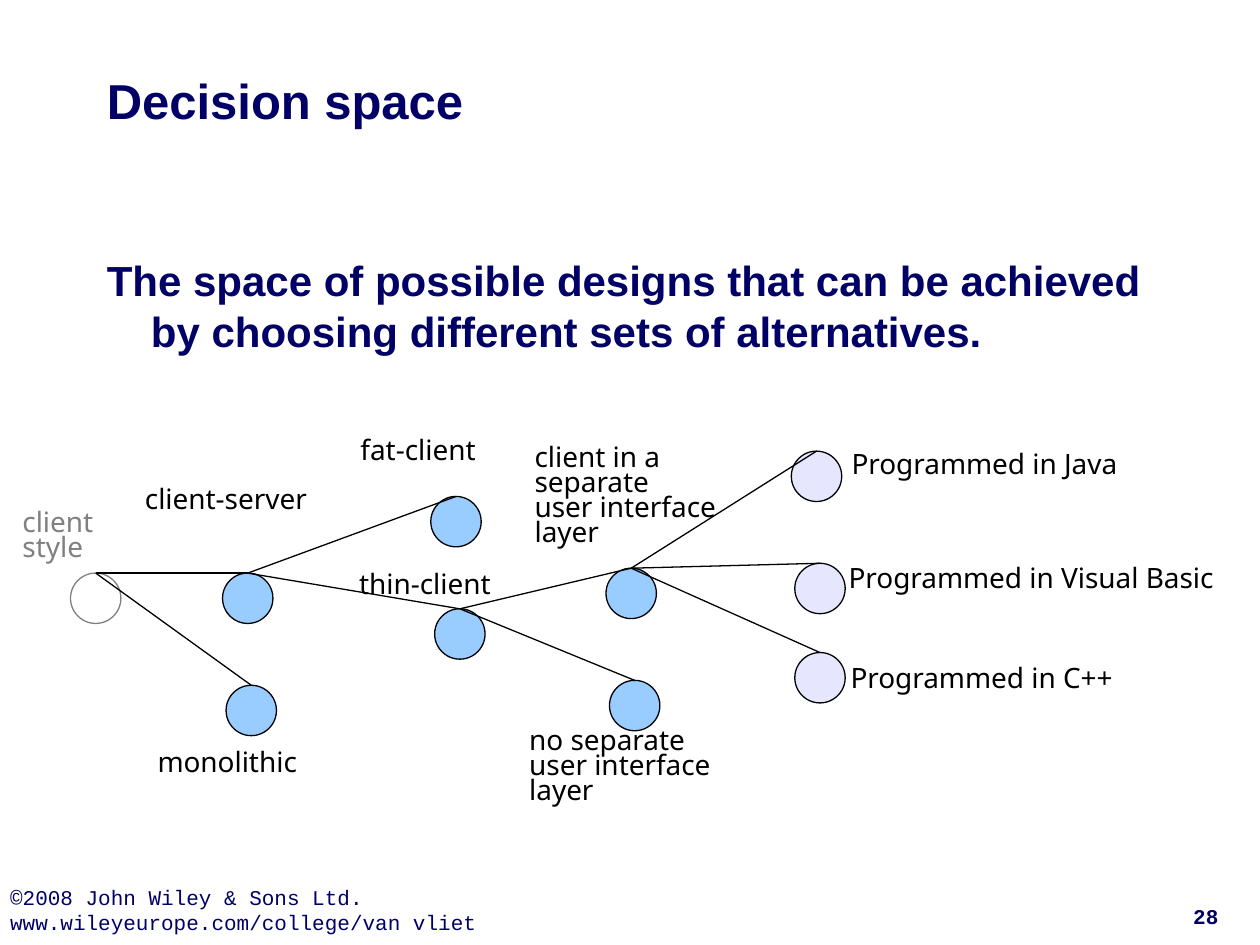
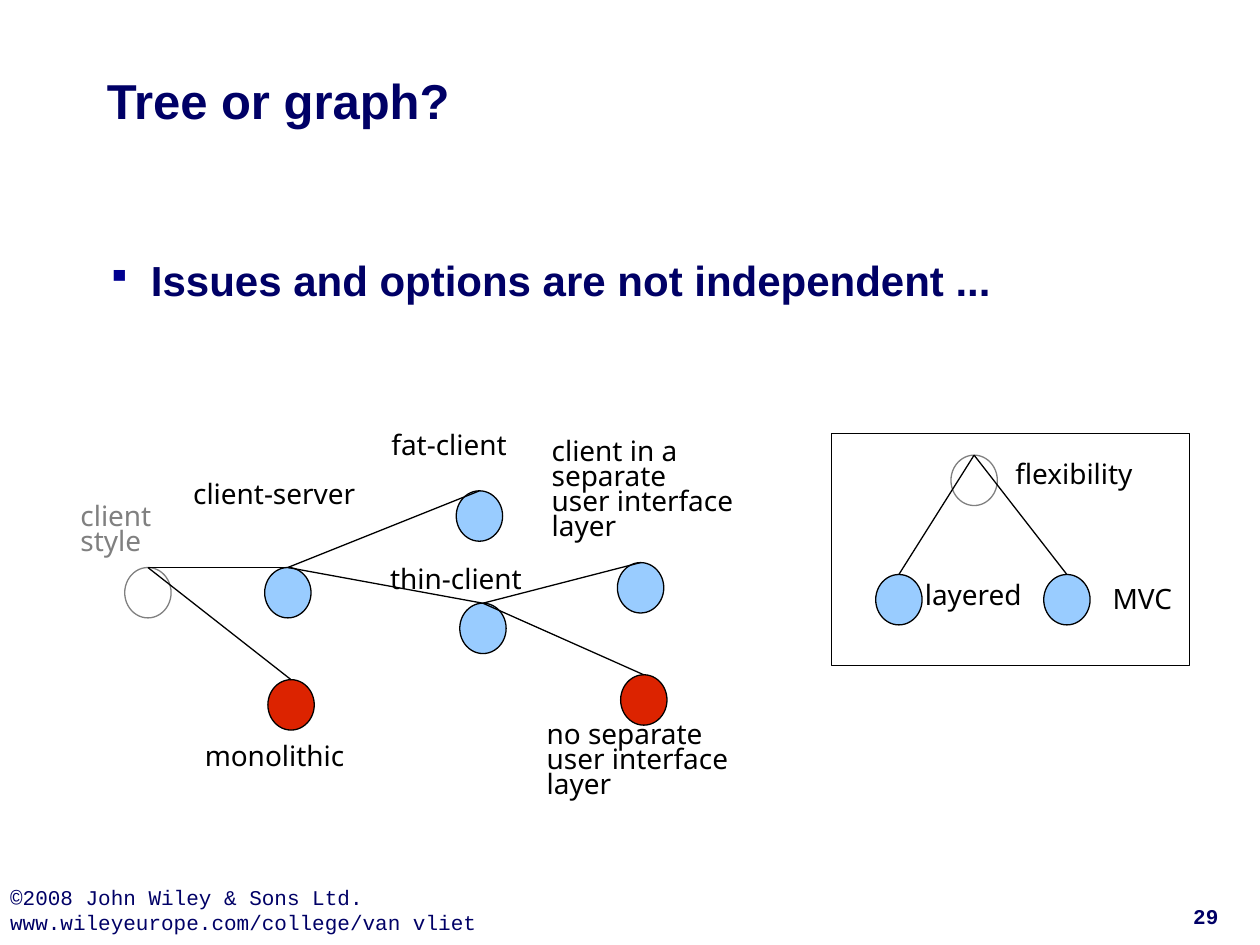
"""Build two slides on design decisions as trees of issues and options."""
from dataclasses import dataclass

from lxml.etree import SubElement
from pptx import Presentation
from pptx.dml.color import RGBColor
from pptx.enum.shapes import MSO_CONNECTOR, MSO_SHAPE
from pptx.enum.text import MSO_ANCHOR, PP_ALIGN
from pptx.oxml.ns import qn
from pptx.util import Pt


@dataclass(frozen=True)
class Theme:
    """Colours, fonts and sizes shared by the slides."""

    navy: str = "000066"
    bullet: str = "000090"
    black: str = "000000"
    gray: str = "808080"
    white: str = "FFFFFF"
    blue: str = "99CCFF"
    lavender: str = "E6E6FF"
    red: str = "DC2300"
    heading_font: str = "Arial"
    footer_font: str = "Courier New"
    label_font: str = "Noto Sans"
    title_size: float = 28
    body_size: float = 24
    label_size: float = 16
    footer_size: float = 12
    label_spacing: float = 14.3
    line_width: float = 0.75
    node_size: float = 28.8


THEME = Theme()
FOOTER = "©2008 John Wiley & Sons Ltd.\nwww.wileyeurope.com/college/van vliet"

STYLE_NODES = {
    "style": (40.3, 327.5),
    "client-server": (127.2, 327.5),
    "monolithic": (129.2, 391.6),
    "fat": (246.2, 283.7),
    "thin": (248.4, 347.9),
    "separate": (346.3, 324.7),
    "joined": (348.3, 388.8),
}
STYLE_LINKS = [
    ("style", "client-server"),
    ("style", "monolithic"),
    ("client-server", "fat"),
    ("client-server", "thin"),
    ("thin", "separate"),
    ("thin", "joined"),
]
STYLE_LABELS = [
    ("client\nstyle", 12.8, 291.1, 46),
    ("client-server", 82.8, 278.2, 96),
    ("monolithic", 90, 428.3, 84),
    ("fat-client", 206, 250.2, 70),
    ("thin-client", 205.2, 326.8, 80),
    ("client in a\nseparate\nuser interface\nlayer", 305.5, 253.9, 110),
    ("no separate\nuser interface\nlayer", 302.4, 415.7, 110),
]
LANGUAGE_NODES = {
    "Java": (452.2, 257.8),
    "Visual Basic": (454.2, 321.9),
    "C++": (454.2, 372.9),
}
LANGUAGE_LABELS = [
    ("Programmed in Java", 486.6, 257.9, 156),
    ("Programmed in Visual Basic", 484.9, 323.2, 214),
    ("Programmed in C++", 486, 380.3, 154),
]
FLEXIBILITY_NODES = {
    "flexibility": (543.4, 260.1),
    "layered": (500.4, 328.3),
    "MVC": (596.4, 328.3),
}
FLEXIBILITY_LABELS = [
    ("flexibility", 580.3, 263.8, 72),
    ("layered", 528.5, 333, 60),
    ("MVC", 635.8, 335.1, 40),
]


def write_text(frame, text, *, font, size, color, bold=False, align=PP_ALIGN.LEFT,
               anchor=MSO_ANCHOR.TOP, margins=(0, 0, 0, 0), wrap=True,
               spacing=None, hanging=0, bullet=None):
    """Fill a text frame with one paragraph per line of text."""
    frame.word_wrap = wrap
    frame.vertical_anchor = anchor
    (frame.margin_left, frame.margin_top,
     frame.margin_right, frame.margin_bottom) = map(Pt, margins)
    for index, line in enumerate(text.split("\n")):
        paragraph = frame.add_paragraph() if index else frame.paragraphs[0]
        paragraph.alignment = align
        if spacing:
            paragraph.line_spacing = Pt(spacing)
        if hanging:
            properties = paragraph._p.get_or_add_pPr()
            properties.set("marL", str(Pt(hanging)))
            properties.set("indent", str(-Pt(hanging)))
            if bullet:
                bullet_color = SubElement(properties, qn("a:buClr"))
                SubElement(bullet_color, qn("a:srgbClr")).set("val", THEME.bullet)
                SubElement(properties, qn("a:buSzPct")).set("val", "80000")
                SubElement(properties, qn("a:buChar")).set("char", bullet)
        run = paragraph.add_run()
        run.text = line
        run.font.name = font
        run.font.size = Pt(size)
        run.font.bold = bold
        run.font.color.rgb = RGBColor.from_string(color)


class Deck:
    """Hold the theme and the current slide, and draw elements on it."""

    def __init__(self, presentation, theme):
        """Keep the presentation and its theme."""
        self.presentation = presentation
        self.theme = theme
        self.slide = None

    def start_slide(self, title, body, number, bullet=None):
        """Add a slide with its footer, number, title and body text."""
        theme = self.theme
        self.slide = self.presentation.slides.add_slide(
            self.presentation.slide_layouts[6])
        footer = {"font": theme.footer_font, "size": theme.footer_size,
                  "color": theme.navy}
        heading = {"font": theme.heading_font, "color": theme.navy, "bold": True,
                   "margins": (7.2, 3.6, 7.2, 3.6)}
        self.text(FOOTER, 0, 499.7, 442, 40.3, margins=(5.76,) * 4, **footer)
        self.text(str(number), 660.5, 513.5, 57, 17.3, bold=True,
                  align=PP_ALIGN.CENTER, anchor=MSO_ANCHOR.BOTTOM, **footer)
        self.text(title, 54, 12.2, 612, 90, size=theme.title_size,
                  anchor=MSO_ANCHOR.MIDDLE, **heading)
        self.text(body, 54, 142, 618, 344, size=theme.body_size,
                  hanging=25.2, bullet=bullet, **heading)

    def text(self, text, left, top, width, height, **text_format):
        """Add a text box."""
        box = self.slide.shapes.add_textbox(*map(Pt, (left, top, width, height)))
        write_text(box.text_frame, text, **text_format)

    def label(self, text, left, top, width, color):
        """Add a tightly spaced node label."""
        theme = self.theme
        height = theme.label_spacing * len(text.split("\n")) + 2
        self.text(text, left, top, width, height, font=theme.label_font,
                  size=theme.label_size, color=color,
                  spacing=theme.label_spacing, margins=(0, 2, 0, 0))

    def shape(self, kind, left, top, width, height, line, fill=None):
        """Add an outlined preset shape, filled if a colour is given."""
        shape = self.slide.shapes.add_shape(
            kind, *map(Pt, (left, top, width, height)))
        shape.shadow.inherit = False
        if fill:
            shape.fill.solid()
            shape.fill.fore_color.rgb = RGBColor.from_string(fill)
        else:
            shape.fill.background()
        shape.line.color.rgb = RGBColor.from_string(line)
        shape.line.width = Pt(self.theme.line_width)
        return shape

    def link(self, parent, child):
        """Join the tops of two nodes with a straight line."""
        connector = self.slide.shapes.add_connector(
            MSO_CONNECTOR.STRAIGHT, 0, 0, 0, 0)
        connector.begin_connect(parent, 0)
        connector.end_connect(child, 0)
        connector.line.color.rgb = RGBColor.from_string(self.theme.black)
        connector.line.width = Pt(self.theme.line_width)
        SubElement(connector._element.spPr, qn("a:effectLst"))

    def tree(self, nodes, links, labels, root, fills=None, scale=1,
             node_scale=1, shift=(0, 0)):
        """Draw nodes, links and labels, with the root node hollow and gray."""
        theme = self.theme
        fills = fills or {}
        shapes = {}
        for name, (left, top) in nodes.items():
            is_root = name == root
            shapes[name] = self.shape(
                MSO_SHAPE.OVAL, left * scale + shift[0], top + shift[1],
                theme.node_size * node_scale, theme.node_size,
                theme.gray if is_root else theme.black,
                theme.white if is_root else fills.get(name, theme.blue))
        for parent, child in links:
            self.link(shapes[parent], shapes[child])
        for text, left, top, width in labels:
            color = theme.gray if text == "client\nstyle" else theme.black
            self.label(text, left * scale + shift[0], top + shift[1], width, color)


def build_decision_space(deck):
    """Draw the full decision tree down to the programming language."""
    deck.start_slide(
        "Decision space",
        "The space of possible designs that can be achieved by choosing "
        "different sets of alternatives.", 28)
    deck.tree(
        STYLE_NODES | LANGUAGE_NODES,
        STYLE_LINKS + [("separate", language) for language in LANGUAGE_NODES],
        STYLE_LABELS + LANGUAGE_LABELS, "style",
        dict.fromkeys(LANGUAGE_NODES, deck.theme.lavender))


def build_tree_or_graph(deck):
    """Draw the narrowed tree beside a second, related issue."""
    theme = deck.theme
    narrowing = 0.92
    deck.start_slide("Tree or graph?",
                     "Issues and options are not independent ...", 29, bullet="▪")
    deck.shape(MSO_SHAPE.RECTANGLE, 475.2, 247.7, 204.5, 132.5, theme.black)
    deck.tree(STYLE_NODES, STYLE_LINKS, STYLE_LABELS, "style",
              dict.fromkeys(("monolithic", "joined"), theme.red),
              scale=narrowing, node_scale=narrowing, shift=(34.2, -3.2))
    deck.tree(FLEXIBILITY_NODES,
              [("flexibility", "MVC"), ("flexibility", "layered")],
              FLEXIBILITY_LABELS, "flexibility", node_scale=narrowing)


def main():
    """Build and save the presentation."""
    presentation = Presentation()
    presentation.slide_width = Pt(720)
    presentation.slide_height = Pt(540)
    deck = Deck(presentation, THEME)
    build_decision_space(deck)
    build_tree_or_graph(deck)
    presentation.save("out.pptx")


if __name__ == "__main__":
    main()
